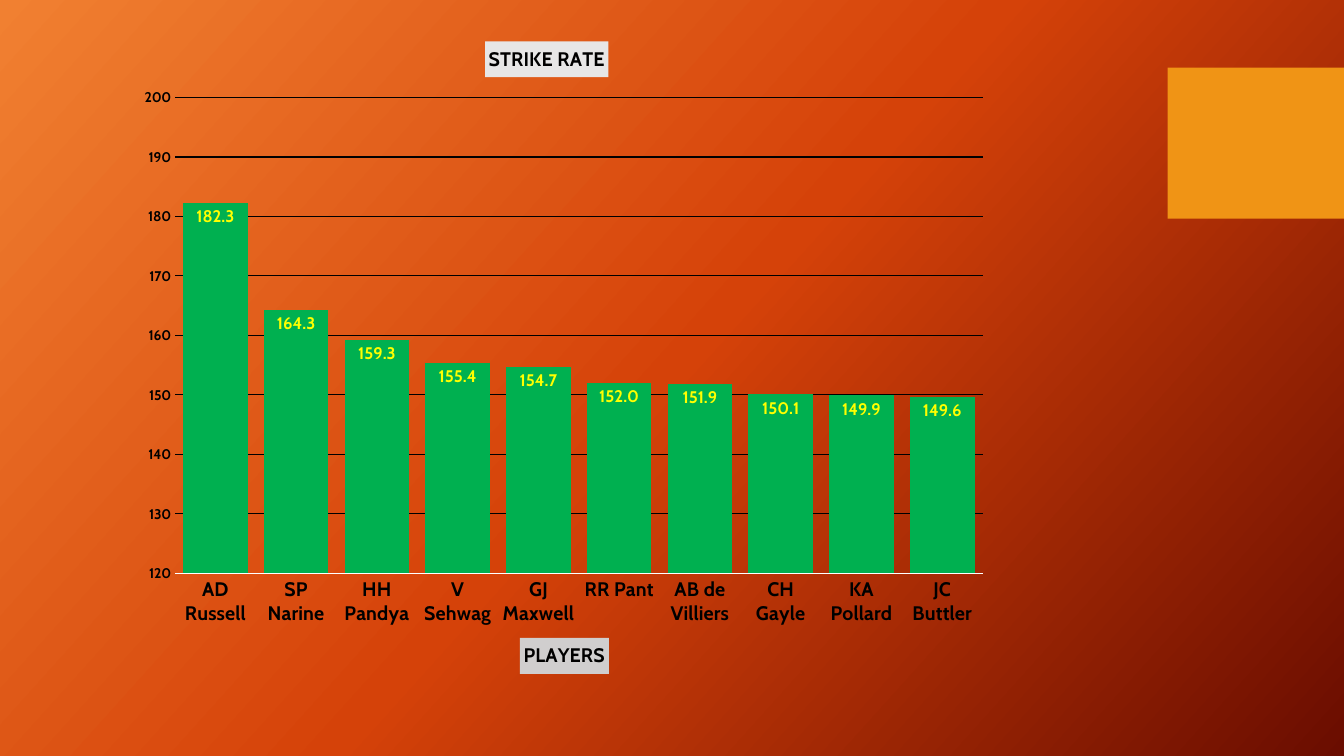
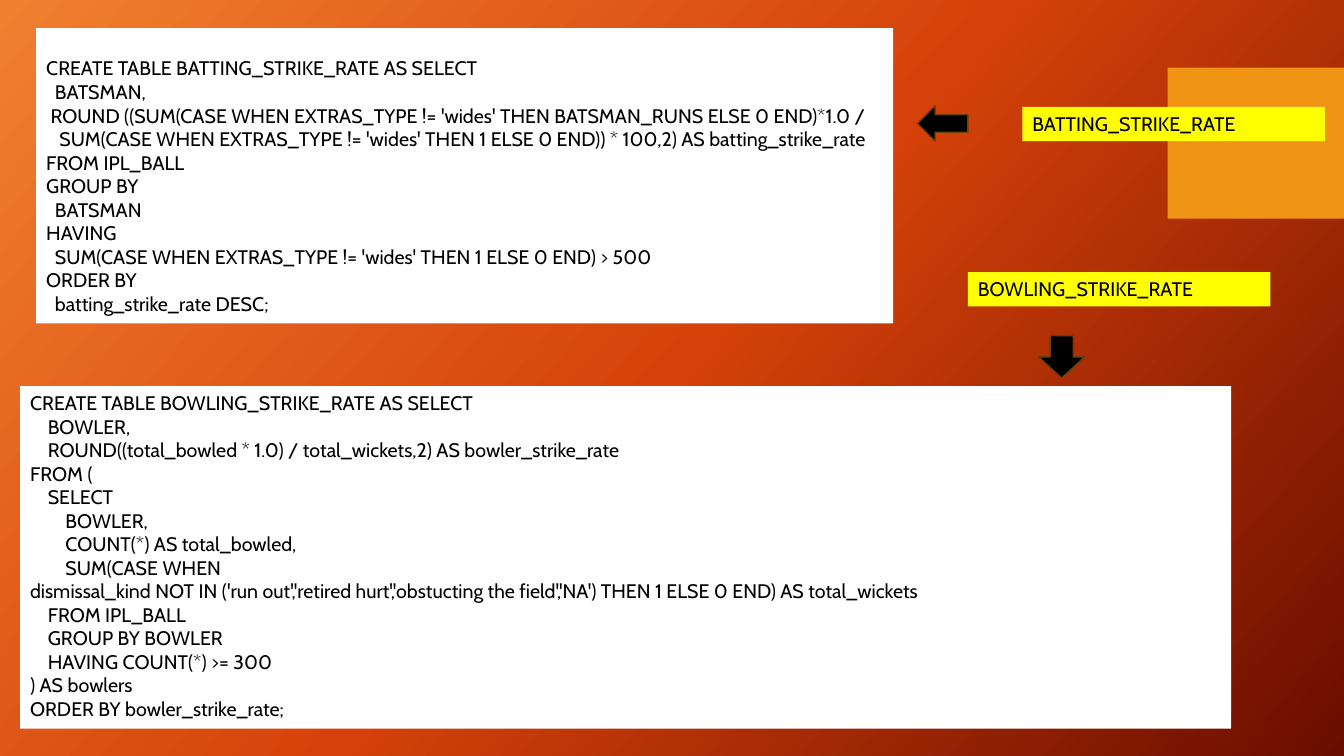
from copy import deepcopy

from lxml import etree
from pptx import Presentation
from pptx.chart.data import CategoryChartData
from pptx.dml.color import RGBColor
from pptx.enum.chart import XL_CHART_TYPE as ChartType
from pptx.enum.chart import XL_LABEL_POSITION as LabelPosition
from pptx.enum.chart import XL_TICK_MARK as TickMark
from pptx.enum.shapes import MSO_SHAPE as Shape
from pptx.enum.text import MSO_ANCHOR as Anchor
from pptx.enum.text import PP_ALIGN as Align
from pptx.oxml.ns import qn
from pptx.util import Inches, Pt

FONT = "Cabin"
BLACK = RGBColor(0x00, 0x00, 0x00)
WHITE = RGBColor(0xFF, 0xFF, 0xFF)
YELLOW = RGBColor(0xFF, 0xFF, 0x00)
GREEN = RGBColor(0x00, 0xB0, 0x50)
AMBER = RGBColor(0xF0, 0x94, 0x15)
BROWN = RGBColor(0x69, 0x41, 0x09)
LIGHT_GREY = RGBColor(0xE7, 0xE6, 0xE6)
GREY = RGBColor(0xD0, 0xCE, 0xCE)
GRADIENT = [
    (0, RGBColor(0xF1, 0x80, 0x31)),
    (0.5, RGBColor(0xD5, 0x42, 0x09)),
    (1, RGBColor(0x6A, 0x0D, 0x00)),
]

STRIKE_RATES = {
    "AD Russell": 182.3,
    "SP Narine": 164.3,
    "HH Pandya": 159.3,
    "V Sehwag": 155.4,
    "GJ Maxwell": 154.7,
    "RR Pant": 152.0,
    "AB de Villiers": 151.9,
    "CH Gayle": 150.1,
    "KA Pollard": 149.9,
    "JC Buttler": 149.6,
}

BATTING_QUERY = """\
CREATE TABLE BATTING_STRIKE_RATE AS SELECT
  BATSMAN,
 ROUND ((SUM(CASE WHEN EXTRAS_TYPE != 'wides' THEN BATSMAN_RUNS ELSE 0 END)*1.0 /
   SUM(CASE WHEN EXTRAS_TYPE != 'wides' THEN 1 ELSE 0 END)) * 100,2) AS batting_strike_rate
FROM IPL_BALL
GROUP BY
  BATSMAN
HAVING
  SUM(CASE WHEN EXTRAS_TYPE != 'wides' THEN 1 ELSE 0 END) > 500
ORDER BY
  batting_strike_rate DESC;"""

BOWLING_QUERY = """\
CREATE TABLE BOWLING_STRIKE_RATE AS SELECT
    BOWLER,
    ROUND((total_bowled * 1.0) / total_wickets,2) AS bowler_strike_rate
FROM (
    SELECT
        BOWLER,
        COUNT(*) AS total_bowled,
        SUM(CASE WHEN
dismissal_kind NOT IN ('run out','retired hurt','obstucting the field','NA') THEN 1 ELSE 0 END) AS total_wickets
    FROM IPL_BALL
    GROUP BY BOWLER
    HAVING COUNT(*) >= 300
) AS bowlers
ORDER BY bowler_strike_rate;"""


def set_font(font, size, color, bold=False):
    font.name = FONT
    font.size = Pt(size)
    font.color.rgb = color
    font.bold = bold


def set_layout(element, index, inner=False, **fractions):
    """Place a chart part by fractions of the chart area."""
    for old_layout in element.findall(qn("c:layout")):
        element.remove(old_layout)
    layout = etree.Element(qn("c:layout"))
    element.insert(index, layout)
    manual = etree.SubElement(layout, qn("c:manualLayout"))
    values = {"layoutTarget": "inner"} if inner else {}
    values.update(xMode="edge", yMode="edge", **fractions)
    for name, value in values.items():
        etree.SubElement(manual, qn(f"c:{name}")).set("val", str(value))


class Deck:
    """Holds the shared style and the slide being built."""

    def __init__(self):
        self.presentation = Presentation()
        self.presentation.slide_width = Inches(13.33)
        self.presentation.slide_height = Inches(7.5)
        self.slide = None
        self.set_background()

    def set_background(self):
        master = self.presentation.slide_master
        fill = master.background.fill
        fill.gradient()
        fill.gradient_angle = 318
        stop_list = master.element.find(".//" + qn("a:gsLst"))
        stop_list.append(deepcopy(stop_list[-1]))
        for stop, (position, color) in zip(fill.gradient_stops, GRADIENT):
            stop.position = position
            stop.color.rgb = color

    def new_slide(self):
        blank = self.presentation.slide_layouts.get_by_name("Blank")
        self.slide = self.presentation.slides.add_slide(blank)
        self.add_block(11.58, 0.67, 1.75, 1.5, AMBER)

    def add_block(self, left, top, width, height, fill, kind=Shape.RECTANGLE, line=None):
        shape = self.slide.shapes.add_shape(
            kind, Inches(left), Inches(top), Inches(width), Inches(height))
        shape.shadow.inherit = False
        shape.fill.solid()
        shape.fill.fore_color.rgb = fill
        if line is None:
            shape.line.fill.background()
        else:
            shape.line.color.rgb = line
            shape.line.width = Pt(1)
        return shape

    def add_text(self, text, left, top, width, height, fill, top_margin=0.05):
        text_frame = self.add_block(left, top, width, height, fill).text_frame
        text_frame.word_wrap = True
        text_frame.vertical_anchor = Anchor.TOP
        text_frame.margin_top = Inches(top_margin)
        text_frame.text = text
        for paragraph in text_frame.paragraphs:
            paragraph.alignment = Align.LEFT
            for run in paragraph.runs:
                set_font(run.font, 14, BLACK)

    def add_arrow(self, kind, left, top, width, height):
        self.add_block(left, top, width, height, BLACK, kind, BROWN)

    def style_title(self, title, text, fill, x, y):
        title.text_frame.text = text
        set_font(title.text_frame.paragraphs[0].runs[0].font, 14, BLACK, True)
        title.format.fill.solid()
        title.format.fill.fore_color.rgb = fill
        set_layout(title.element, 1, x=x, y=y)

    def style_axis(self, axis, size):
        axis.major_tick_mark = axis.minor_tick_mark = TickMark.NONE
        set_font(axis.tick_labels.font, size, BLACK, True)

    def add_column_chart(self, values, title, axis_title, left, top, width, height):
        data = CategoryChartData(number_format="0.0")
        data.categories = list(values)
        data.add_series("Series 1", list(values.values()))
        chart = self.slide.shapes.add_chart(
            ChartType.COLUMN_CLUSTERED, Inches(left), Inches(top),
            Inches(width), Inches(height), data).chart
        set_font(chart.font, 10, WHITE)
        chart.has_legend = False
        chart.has_title = True
        self.style_title(chart.chart_title, title, LIGHT_GREY, 0.41, 0.03)

        # Axes
        category_axis, value_axis = chart.category_axis, chart.value_axis
        self.style_axis(category_axis, 14)
        category_axis.format.line.color.rgb = WHITE
        category_axis.format.line.width = Pt(0.75)
        category_axis.has_title = True
        self.style_title(category_axis.axis_title, axis_title, GREY, 0.45, 0.92)
        self.style_axis(value_axis, 10)
        value_axis.format.line.fill.background()
        value_axis.minimum_scale, value_axis.maximum_scale = 120, 200
        value_axis.major_unit = 10
        value_axis.tick_labels.number_format = "0"
        value_axis.tick_labels.number_format_is_linked = False
        value_axis.major_gridlines.format.line.color.rgb = BLACK
        value_axis.major_gridlines.format.line.width = Pt(0.75)

        # Columns and their labels
        plot = chart.plots[0]
        plot.gap_width, plot.overlap = 25, -27
        plot.vary_by_categories = False
        series = plot.series[0]
        series.format.fill.solid()
        series.format.fill.fore_color.rgb = GREEN
        labels = series.data_labels
        labels.show_value = True
        labels.position = LabelPosition.INSIDE_END
        labels.number_format = "0.0"
        labels.number_format_is_linked = False
        set_font(labels.font, 12, YELLOW, True)
        plot_area = chart.element.find(".//" + qn("c:plotArea"))
        set_layout(plot_area, 0, inner=True, x=0.055, y=0.114, w=0.925, h=0.71)


def main():
    deck = Deck()

    # Strike rate chart
    deck.new_slide()
    deck.add_column_chart(STRIKE_RATES, "STRIKE RATE", "PLAYERS", 1.26, 0.21, 8.66, 6.65)

    # Queries with their labels
    deck.new_slide()
    deck.add_text(BATTING_QUERY, 0.36, 0.28, 8.5, 2.93, WHITE, top_margin=0.28)
    deck.add_text(BOWLING_QUERY, 0.2, 3.83, 12.01, 3.4, WHITE)
    deck.add_text("BATTING_STRIKE_RATE", 10.14, 1.06, 3, 0.34, YELLOW)
    deck.add_text("BOWLING_STRIKE_RATE", 9.6, 2.7, 3, 0.34, YELLOW)
    deck.add_arrow(Shape.LEFT_ARROW, 9.1, 1.05, 0.5, 0.35)
    deck.add_arrow(Shape.DOWN_ARROW, 10.3, 3.33, 0.46, 0.42)

    deck.presentation.save("out.pptx")


if __name__ == "__main__":
    main()
